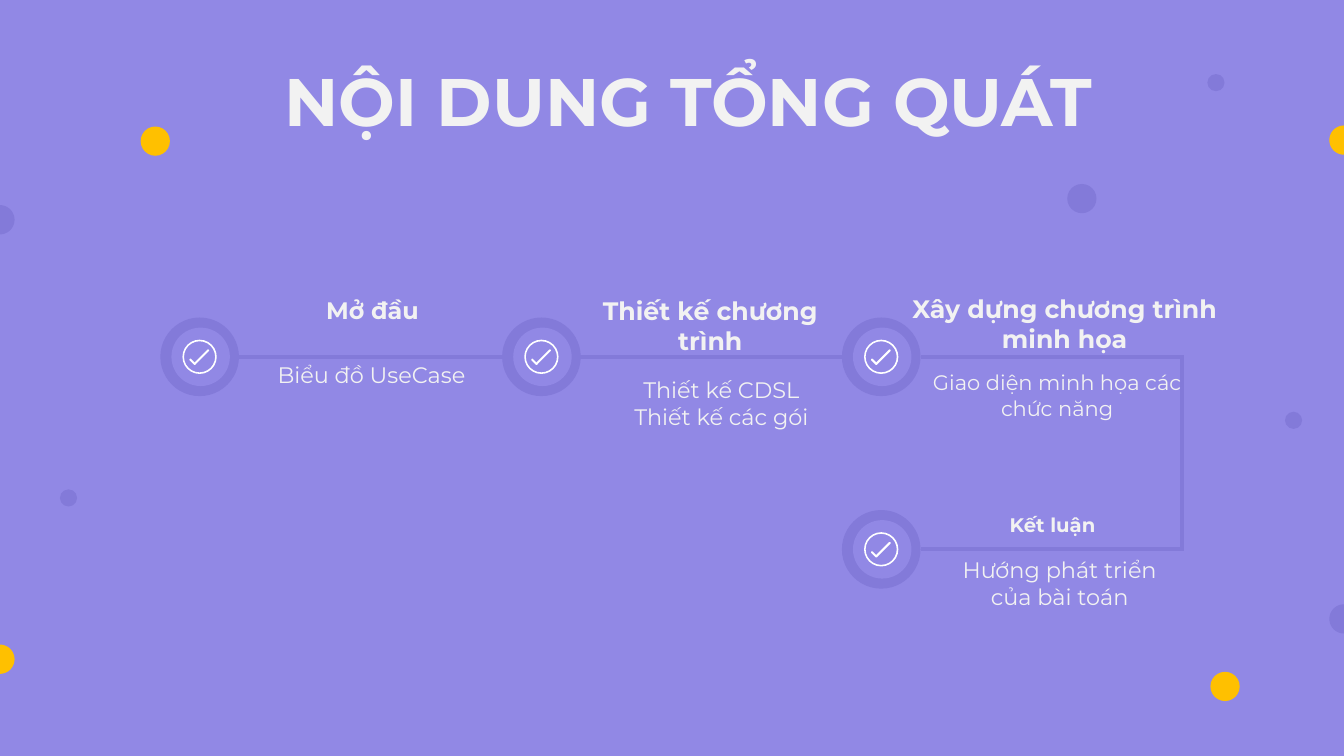
from math import cos, pi, sin

from lxml.etree import SubElement
from pptx import Presentation
from pptx.dml.color import RGBColor
from pptx.enum.shapes import MSO_CONNECTOR, MSO_SHAPE as SHAPE
from pptx.enum.text import MSO_ANCHOR, MSO_AUTO_SIZE, PP_ALIGN
from pptx.oxml.ns import qn
from pptx.util import Inches, Pt

COLORS = {"back": "9188E5", "track": "837AD9", "accent": "FFC000",
          "text": "F2F2F2", "tick": "FFFFFF"}
FONT = "Montserrat"
DISC, INNER, RING = 0.78, 0.58, 0.34
LARGE_DOT, SMALL_DOT = 0.29, 0.17


def color(name):
    return RGBColor.from_string(COLORS[name])


def write_text(box, *lines, size, bold=False):
    """Fill a text frame with one centred paragraph per line."""
    frame = box.text_frame
    frame.word_wrap = True
    frame.auto_size = MSO_AUTO_SIZE.SHAPE_TO_FIT_TEXT
    frame.vertical_anchor = MSO_ANCHOR.TOP
    for index, line in enumerate(lines):
        para = frame.add_paragraph() if index else frame.paragraphs[0]
        para.alignment = PP_ALIGN.CENTER
        para.line_spacing = 1.0
        span = para.add_run()
        span.text = line
        span.font.name = FONT
        span.font.size = Pt(size)
        span.font.bold = bold
        span.font.color.rgb = color("text")


class Roadmap:
    """Holds the current slide and draws its elements in one style."""

    def __init__(self, page):
        self.page = page
        self.shapes = page.shapes
        page.background.fill.solid()
        page.background.fill.fore_color.rgb = color("back")

    def paint(self, shape, fill):
        shape.shadow.inherit = False
        shape.fill.solid()
        shape.fill.fore_color.rgb = color(fill)
        shape.line.fill.background()

    def title(self, text, left, top, width, height):
        box = self.shapes.title
        box.left, box.top = Inches(left), Inches(top)
        box.width, box.height = Inches(width), Inches(height)
        write_text(box, text, size=48, bold=True)

    def label(self, left, top, width, height, *lines, **style):
        box = self.shapes.add_textbox(Inches(left), Inches(top),
                                      Inches(width), Inches(height))
        write_text(box, *lines, **style)

    def track(self, x1, y1, x2, y2):
        line = self.shapes.add_connector(MSO_CONNECTOR.STRAIGHT, Inches(x1),
                                         Inches(y1), Inches(x2), Inches(y2))
        line.line.color.rgb = color("track")
        line.line.width = Pt(3)
        SubElement(line._element.spPr, qn("a:effectLst"))

    def centred(self, kind, x, y, width, height, fill, turn=0, adjust=None, parent=None):
        """Draw a preset shape around its centre point."""
        shape = (parent or self.page).shapes.add_shape(
            kind, Inches(x - width / 2), Inches(y - height / 2),
            Inches(width), Inches(height))
        self.paint(shape, fill)
        shape.rotation = turn
        if adjust is not None:
            shape.adjustments[0] = adjust

    def dot(self, x, y, size, fill):
        self.centred(SHAPE.OVAL, x, y, size, size, fill)

    def half_dot(self, x, y, side, fill):
        """Draw half a dot that bulges right (side 1) or left (side -1)."""
        radius, steps = LARGE_DOT / 2, 24
        angles = [pi * step / steps - pi / 2 for step in range(steps + 1)]
        points = [(Inches(x + side * radius * cos(angle)),
                   Inches(y + radius * sin(angle))) for angle in angles]
        builder = self.shapes.build_freeform(*points[0])
        builder.add_line_segments(points[1:], close=True)
        self.paint(builder.convert_to_shape(), fill)

    def milestone(self, x, y):
        self.dot(x, y, DISC, "track")
        self.dot(x + 0.01, y, INNER, "back")
        check = self.shapes.add_group_shape()
        self.centred(SHAPE.DONUT, x, y, RING, RING, "tick", adjust=0.047, parent=check)
        for dx, dy, length, turn in ((-0.07, 0.05, 0.08, 135), (0.02, 0, 0.2, 225)):
            self.centred(SHAPE.ROUNDED_RECTANGLE, x + dx, y + dy, 0.02, length,
                         "tick", turn=turn, adjust=0.5, parent=check)


def main():
    deck = Presentation()
    deck.slide_width, deck.slide_height = Inches(13.33), Inches(7.5)
    roadmap = Roadmap(deck.slides.add_slide(deck.slide_layouts[5]))
    roadmap.title("NỘI DUNG TỔNG QUÁT", 2.08, 0.54, 9.5, 0.91)

    upper, lower, corner = 3.54, 5.45, 11.72
    for start, end, y in ((2.36, 4.98, upper), (5.74, 8.35, upper),
                          (9.13, 11.74, upper), (9.13, 11.74, lower)):
        roadmap.track(start, y, end, y)
    roadmap.track(corner, lower, corner, upper)
    for x, y in ((1.98, upper), (5.37, upper), (8.74, upper), (8.74, lower)):
        roadmap.milestone(x, y)

    roadmap.label(2.41, 2.88, 2.57, 0.39, "Mở đầu", size=17, bold=True)
    roadmap.label(2.62, 3.53, 2.13, 0.37, "Biểu đồ UseCase", size=16)
    roadmap.label(5.58, 2.88, 2.93, 0.4, "Thiết kế chương trình", size=18, bold=True)
    roadmap.label(5.74, 3.68, 2.83, 0.91, "Thiết kế CDSL", "Thiết kế các gói", size=16)
    roadmap.label(8.76, 2.86, 3.6, 0.71, "Xây dựng chương trình minh họa",
                  size=18, bold=True)
    roadmap.label(9.14, 3.62, 2.69, 0.61, "Giao diện minh họa các chức năng", size=15)
    roadmap.label(8.35, 5.04, 4.18, 0.34, "Kết luận", size=14, bold=True)
    roadmap.label(9.3, 5.47, 2.42, 0.64, "Hướng phát triển của bài toán", size=16)

    for x, y in ((0.68, 4.94), (12.83, 4.17), (12.06, 0.82)):
        roadmap.dot(x, y, SMALL_DOT, "track")
    for x, y, fill in ((1.54, 1.4, "accent"), (12.15, 6.81, "accent"),
                       (10.73, 1.97, "track")):
        roadmap.dot(x, y, LARGE_DOT, fill)
    for x, y, side, fill in ((0, 6.54, 1, "accent"), (0, 2.18, 1, "track"),
                             (13.33, 6.14, -1, "track"), (13.33, 1.39, -1, "accent")):
        roadmap.half_dot(x, y, side, fill)
    deck.save("out.pptx")


if __name__ == "__main__":
    main()
